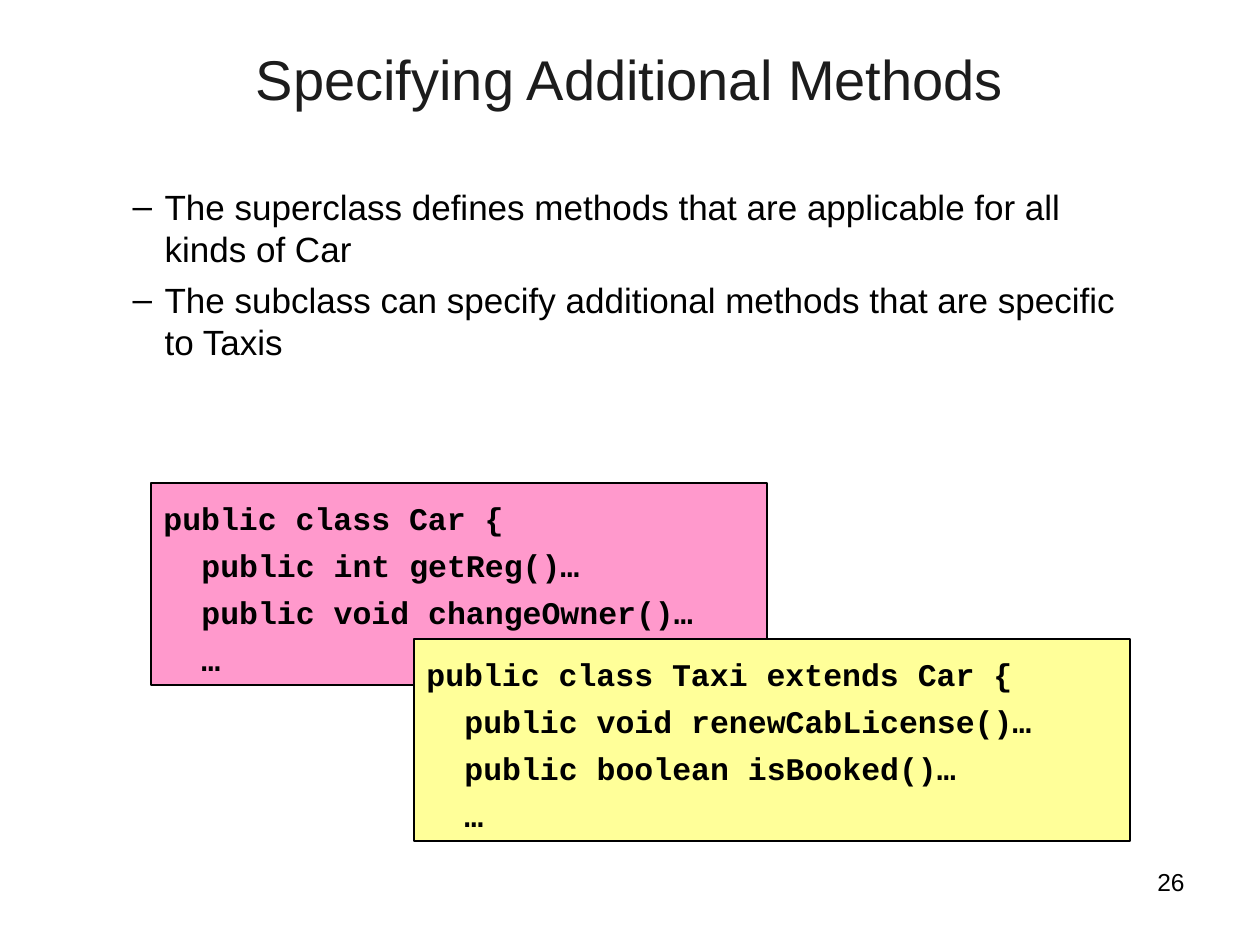
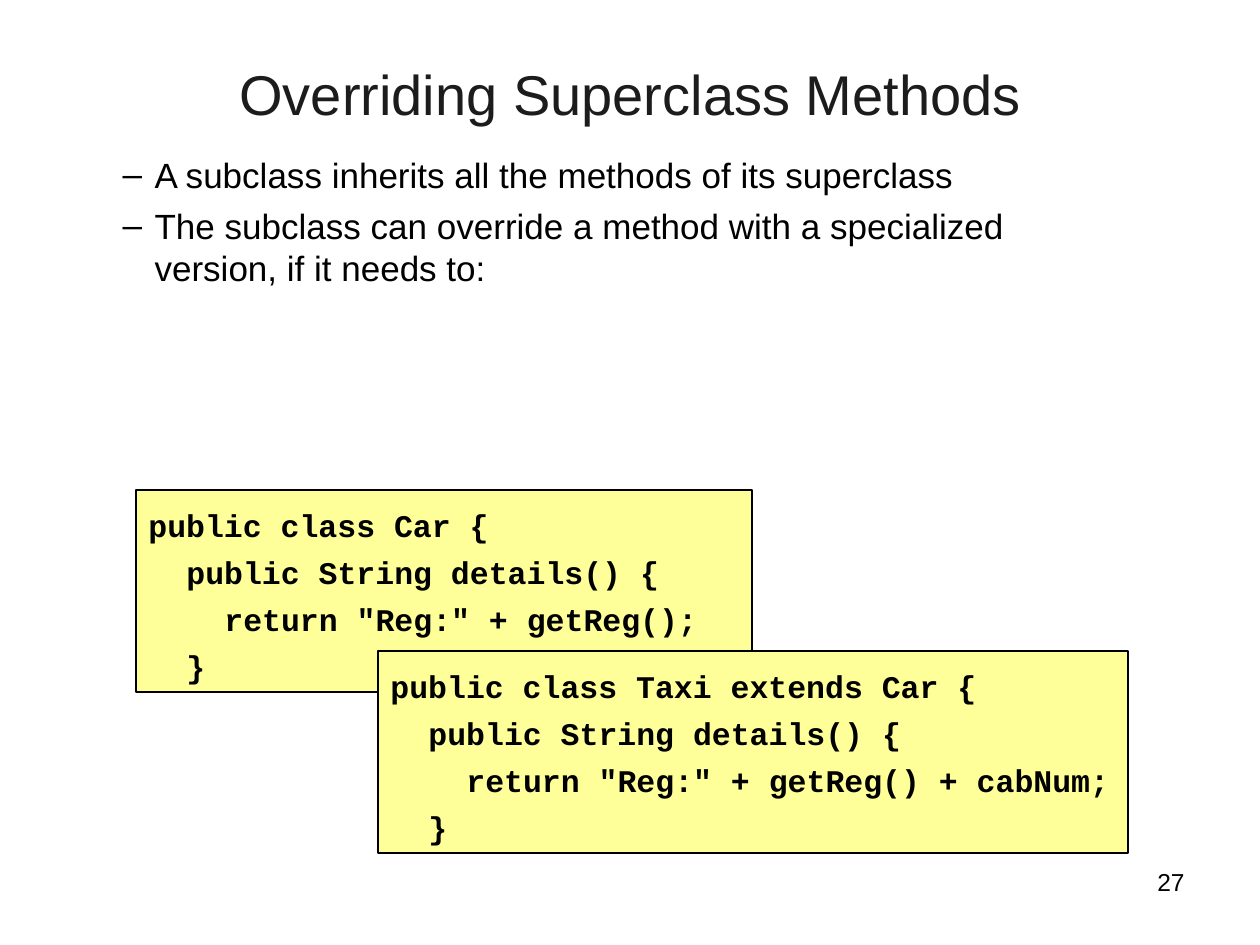
"""Build two slides on adding and overriding methods in a subclass."""
from pptx import Presentation
from pptx.dml.color import RGBColor
from pptx.enum.shapes import MSO_SHAPE
from pptx.enum.text import MSO_ANCHOR, MSO_AUTO_SIZE, PP_ALIGN
from pptx.util import Emu, Pt

COLORS = {
    "title": "1C1C1C",
    "ink": "000000",
    "pink": "FF99CC",
    "yellow": "FFFF99",
}
SANS = "Arial"
MONO = "Courier New"
SCALE = 914400 / 126
STEP = 38
CODE_H = 202
NUM_BOX = (903, 861, 294, 66)


def px(count):
    """Turn px into EMU."""
    return Emu(round(count * SCALE))


def color(name):
    """Look up a colour by name."""
    return RGBColor.from_string(COLORS[name])


def place(shape, box):
    """Move a shape to a box of left, top, width and height."""
    shape.left, shape.top, shape.width, shape.height = map(px, box)


def style(para, size, tint="ink", face=SANS, bold=False):
    """Set the font of a paragraph."""
    font = para.font
    font.name, font.size, font.bold = face, Pt(size), bold
    font.color.rgb = color(tint)


def indent(para, left, first=0):
    """Set the left margin and first line indent of a paragraph."""
    props = para._p.get_or_add_pPr()
    props.set("marL", str(px(left)))
    props.set("indent", str(px(first)))


def fill_text(shape, lines):
    """Write lines into a shape from the top and return its paragraphs."""
    frame = shape.text_frame
    frame.text = "\n".join(lines)
    frame.word_wrap = True
    frame.auto_size = MSO_AUTO_SIZE.NONE
    frame.vertical_anchor = MSO_ANCHOR.TOP
    return frame.paragraphs


def add_title(slide, text, box):
    """Fill the title placeholder."""
    place(slide.shapes.title, box)
    para = fill_text(slide.shapes.title, [text])[0]
    para.alignment = PP_ALIGN.CENTER
    style(para, 32, "title")


def add_list(slide, items, box):
    """Fill the body placeholder with dashed points."""
    body = slide.placeholders[1]
    place(body, box)
    for para in fill_text(body, items):
        para.level = 1
        para.space_before = Pt(5)
        indent(para, 47, -32)
        style(para, 20)


def add_code(slide, lines, left, top, width, tint):
    """Draw a filled box of code from pairs of depth and text."""
    box = slide.shapes.add_shape(
        MSO_SHAPE.RECTANGLE, px(left), px(top), px(width), px(CODE_H))
    box.shadow.inherit = False
    box.fill.solid()
    box.fill.fore_color.rgb = color(tint)
    box.line.color.rgb = color("ink")
    box.line.width = Pt(1)
    paras = fill_text(box, [text for _, text in lines])
    for para, (depth, _) in zip(paras, lines):
        para.alignment = PP_ALIGN.LEFT
        para.line_spacing = 1.25
        indent(para, depth * STEP)
        style(para, 18, face=MONO, bold=True)


def add_number(slide, number):
    """Write the page number at the bottom right."""
    box = slide.shapes.add_textbox(*map(px, NUM_BOX))
    para = fill_text(box, [str(number)])[0]
    para.alignment = PP_ALIGN.RIGHT
    style(para, 14)


def add_page(deck, number, title, title_box, items, list_box):
    """Add a slide with its number, title and list."""
    slide = deck.slides.add_slide(deck.slide_layouts[1])
    add_number(slide, number)
    add_title(slide, title, title_box)
    add_list(slide, items, list_box)
    return slide


def main():
    """Build and save the deck."""
    deck = Presentation()
    deck.slide_width, deck.slide_height = px(1260), px(945)

    slide = add_page(
        deck, 26, "Specifying Additional Methods", (63, 38, 1134, 88),
        ["The superclass defines methods that are applicable for all "
         "kinds of Car",
         "The subclass can specify additional methods that are specific "
         "to Taxis"],
        (105, 179, 1038, 189))
    add_code(slide, [
        (0, "public class Car {"),
        (1, "public int getReg()…"),
        (1, "public void changeOwner()…"),
        (1, "…"),
    ], 151, 483, 616, "pink")
    add_code(slide, [
        (0, "public class Taxi extends Car {"),
        (1, "public void renewCabLicense()…"),
        (1, "public boolean isBooked()…"),
        (1, "…"),
    ], 414, 639, 716, "yellow")

    slide = add_page(
        deck, 27, "Overriding Superclass Methods", (95, 53, 1071, 158),
        ["A subclass inherits all the methods of its superclass",
         "The subclass can override a method with a specialized version, "
         "if it needs to:"],
        (95, 147, 1038, 147))
    add_code(slide, [
        (0, "public class Car {"),
        (1, "public String details() {"),
        (2, 'return "Reg:" + getReg();'),
        (1, "}"),
    ], 136, 490, 616, "yellow")
    add_code(slide, [
        (0, "public class Taxi extends Car {"),
        (1, "public String details() {"),
        (2, 'return "Reg:" + getReg() + cabNum;'),
        (1, "}"),
    ], 378, 651, 750, "yellow")

    deck.save("out.pptx")


if __name__ == "__main__":
    main()
